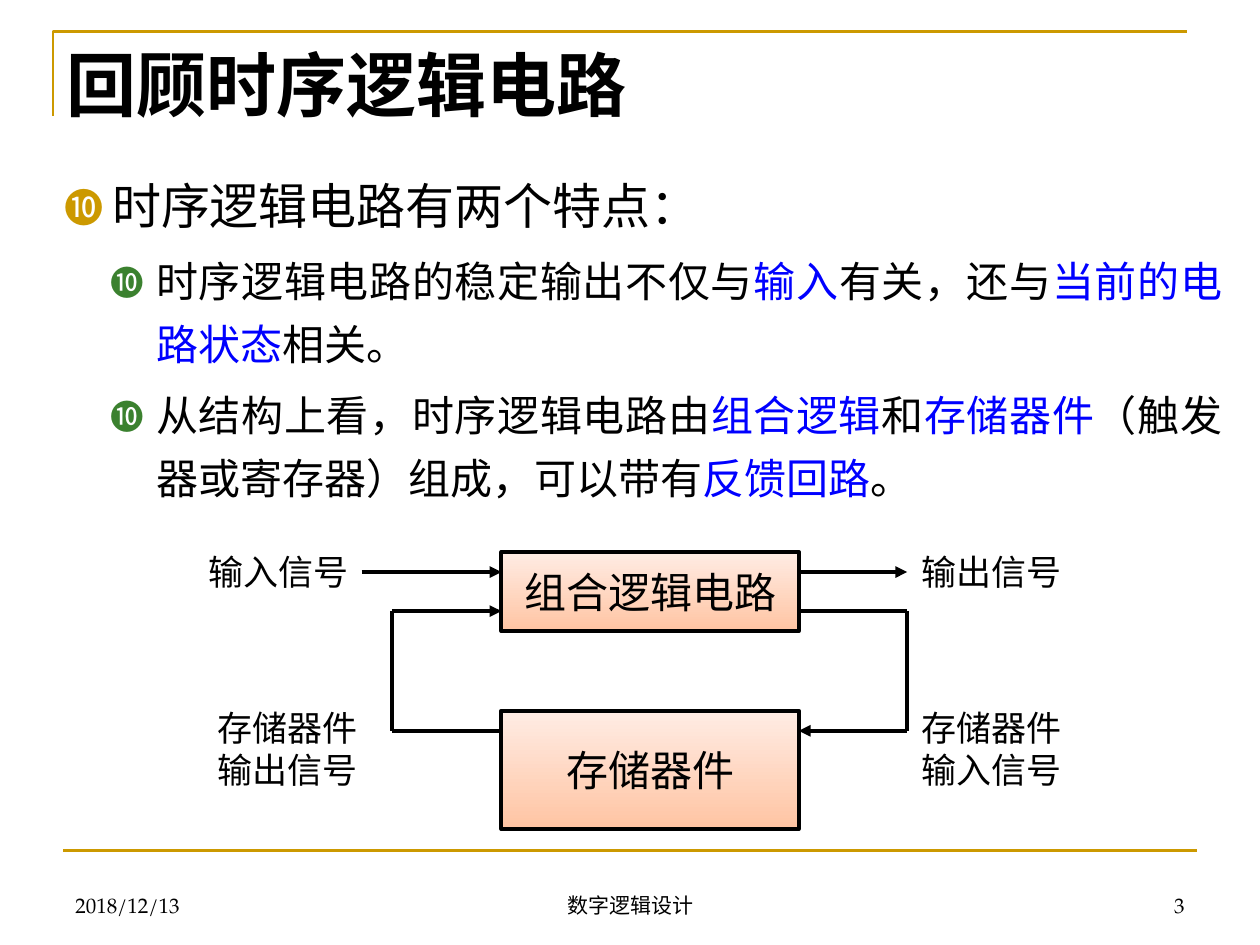
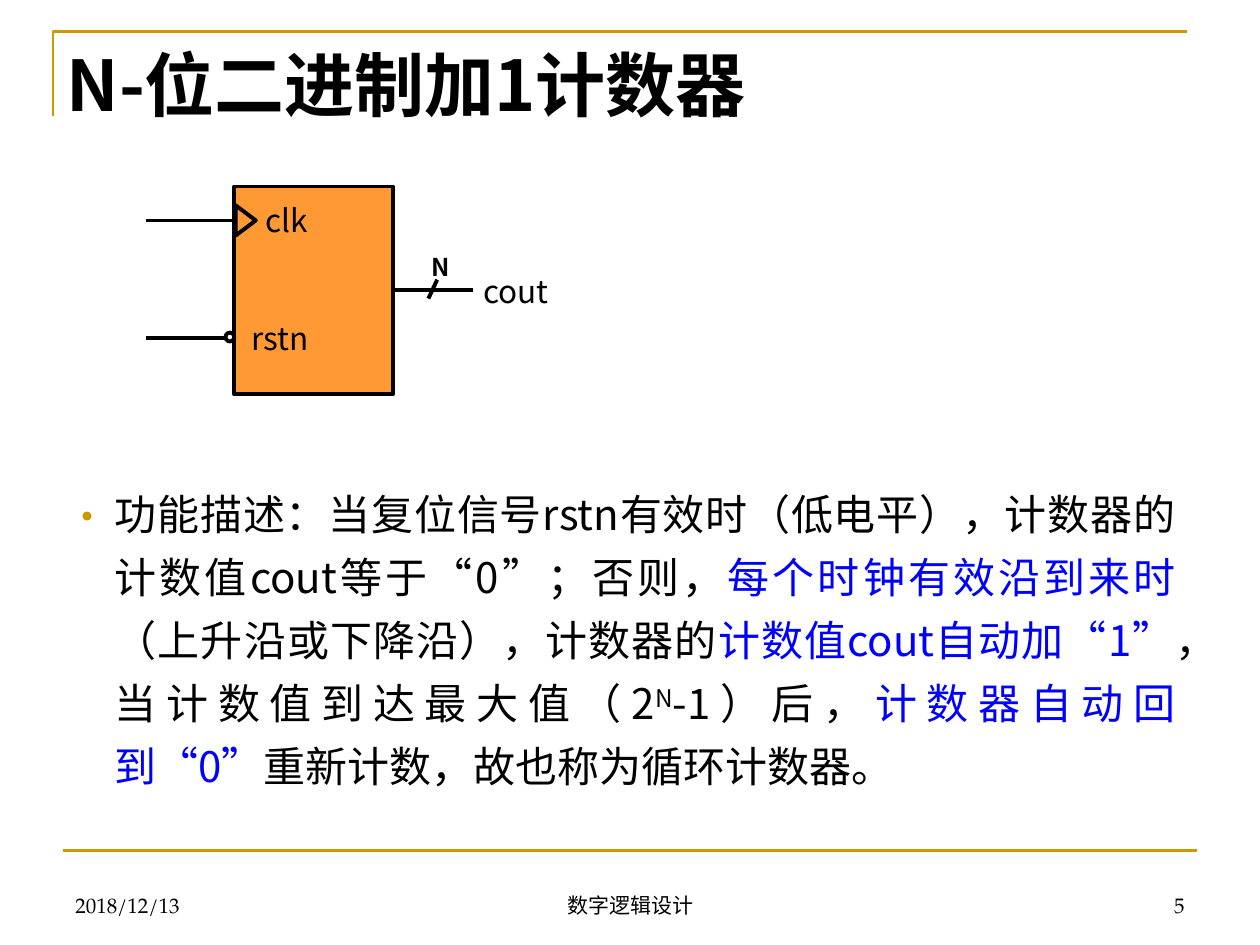
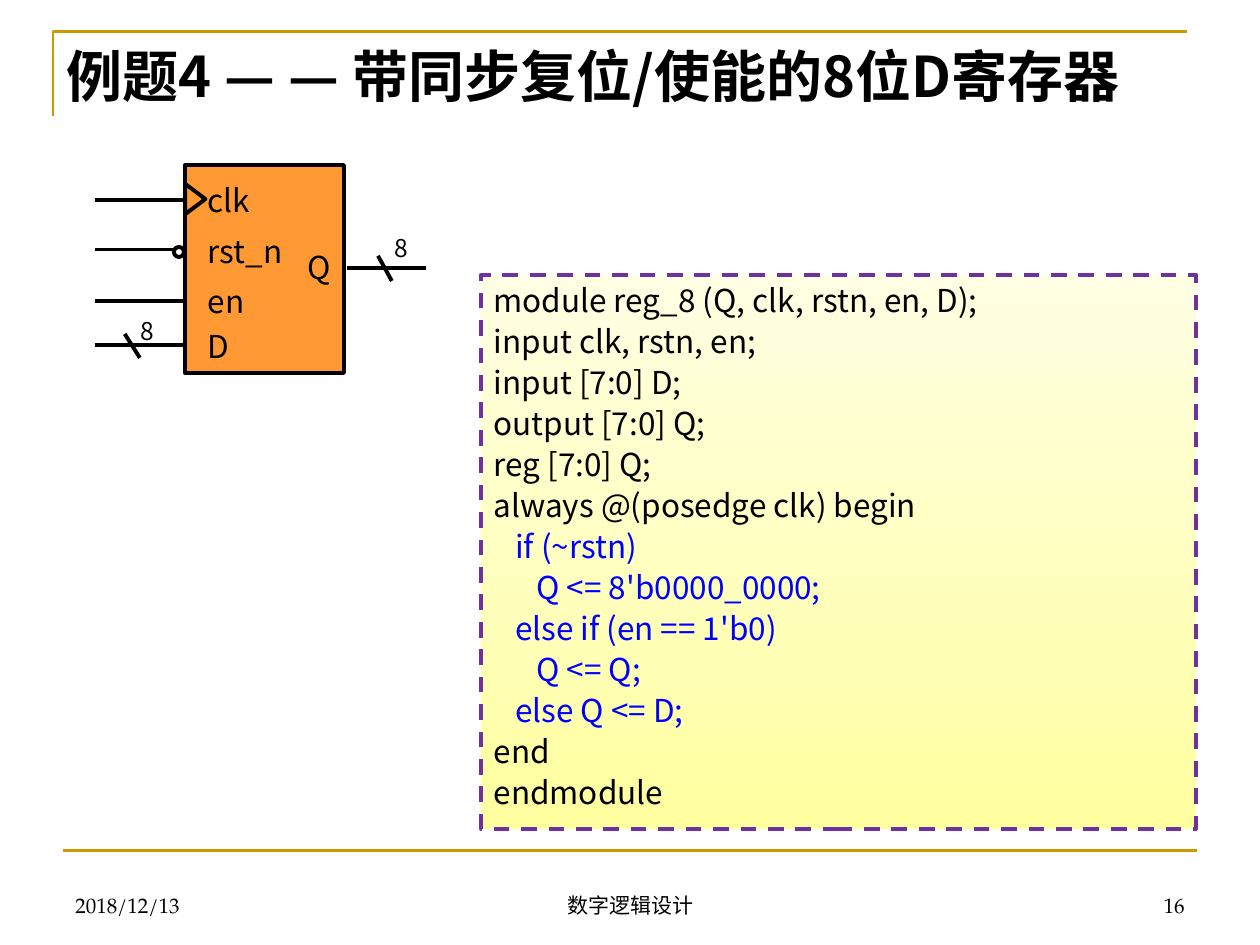
"""Build three slides on sequential logic: review, N-bit counter, 8-bit D register."""
from lxml import etree
from pptx import Presentation
from pptx.dml.color import RGBColor
from pptx.enum.dml import MSO_LINE
from pptx.enum.shapes import MSO_CONNECTOR, MSO_SHAPE
from pptx.enum.text import MSO_ANCHOR, MSO_AUTO_SIZE, PP_ALIGN
from pptx.oxml.ns import qn
from pptx.util import Inches, Pt

LEFT, CENTER, RIGHT, JUSTIFY = PP_ALIGN.LEFT, PP_ALIGN.CENTER, PP_ALIGN.RIGHT, PP_ALIGN.JUSTIFY
TOP, MIDDLE, BOTTOM = MSO_ANCHOR.TOP, MSO_ANCHOR.MIDDLE, MSO_ANCHOR.BOTTOM
RECT, TRIANGLE, OVAL = MSO_SHAPE.RECTANGLE, MSO_SHAPE.ISOSCELES_TRIANGLE, MSO_SHAPE.OVAL
STRAIGHT, DASH, NO_FIT = MSO_CONNECTOR.STRAIGHT, MSO_LINE.DASH, MSO_AUTO_SIZE.NONE

BLACK = RGBColor(0, 0, 0)
BLUE = RGBColor(0, 0, 255)
GOLD = RGBColor(0xCC, 0x99, 0x00)
GREEN = RGBColor(0x3B, 0x81, 0x2F)
ORANGE = RGBColor(0xFF, 0x99, 0x33)
PURPLE = RGBColor(0x70, 0x30, 0xA0)
PEACH = (RGBColor(0xFF, 0xC4, 0xA3), RGBColor(0xFF, 0xEC, 0xE4))
YELLOW = (RGBColor(0xFF, 0xFF, 0xA0), RGBColor(0xFF, 0xFF, 0xE3))
SANS, SERIF = "Noto Sans CJK SC", "TeX Gyre Pagella"


def write(p, text, size, color=BLACK, bold=False, font=SANS):
    r = p.add_run()
    r.text = text
    r.font.size = Pt(size)
    r.font.bold = bold
    r.font.color.rgb = color
    r.font.name = font
    etree.SubElement(r._r.get_or_add_rPr(), qn("a:ea"), typeface=SANS)
    return r


def add_line(s, x1, y1, x2, y2, end=None, color=BLACK, width=2.25):
    c = s.shapes.add_connector(STRAIGHT, Inches(x1), Inches(y1), Inches(x2), Inches(y2))
    c.line.color.rgb = color
    c.line.width = Pt(width)
    if end:
        etree.SubElement(c.line._get_or_add_ln(), qn(f"a:{end}"), type="triangle")
    etree.SubElement(c._element.spPr, qn("a:effectLst"))
    return c


prs = Presentation()
prs.slide_width, prs.slide_height = Inches(10), Inches(7.5)
with_body, title_only = prs.slide_layouts[1], prs.slide_layouts[5]
review, counter, register = [prs.slides.add_slide(x) for x in (with_body, with_body, title_only)]

fb = review.shapes.build_freeform(Inches(0.42), Inches(0.92))
fb.add_line_segments([(Inches(0.42), Inches(0.25)), (Inches(9.42), Inches(0.25))], close=False)
corner = fb.convert_to_shape()
corner.shadow.inherit = False
corner.fill.background()
corner.line.color.rgb = GOLD
corner.line.width = Pt(1.5)
rule = add_line(review, 0.5, 6.75, 9.5, 6.75, color=GOLD, width=1.5)
for sp in (corner, rule):
    prs.slide_master.shapes._spTree.append(sp._element)

for s, number, title, size, width, height in (
    (review, "3", "回顾时序逻辑电路", 40, 7.72, 0.77),
    (counter, "5", "N-位二进制加1计数器", 40, 8.58, 0.77),
    (register, "16", "例题4 — — 带同步复位/使能的8位D寄存器", 32, 9.14, 0.64),
):
    sp = s.shapes.title
    sp.left, sp.top, sp.width, sp.height = Inches(0.43), Inches(0.28), Inches(width), Inches(height)
    tf = sp.text_frame
    tf.auto_size = NO_FIT
    tf.vertical_anchor = TOP
    tf.paragraphs[0].alignment = LEFT
    write(tf.paragraphs[0], title, size, bold=True)
    for text, x, w, align in (
        ("2018/12/13", 0.5, 2.33, LEFT),
        ("数字逻辑设计", 3.42, 3.17, CENTER),
        (number, 7.17, 2.33, RIGHT),
    ):
        tf = s.shapes.add_textbox(Inches(x), Inches(6.83), Inches(w), Inches(0.5)).text_frame
        tf.word_wrap = True
        tf.vertical_anchor = BOTTOM
        tf.paragraphs[0].alignment = align
        write(tf.paragraphs[0], text, 12, font=SERIF)

review_list = (
    (0, 28, 5.6, "❿", [("时序逻辑电路有两个特点：", BLACK)]),
    (1, 24, 4.8, "❿", [
        ("时序逻辑电路的稳定输出不仅与", BLACK), ("输入", BLUE), ("有关，还与", BLACK),
        ("当前的电路状态", BLUE), ("相关。", BLACK)]),
    (1, 24, 4.8, "❿", [
        ("从结构上看，时序逻辑电路由", BLACK), ("组合逻辑", BLUE), ("和", BLACK),
        ("存储器件", BLUE), ("（触发器或寄存器）组成，可以带有", BLACK),
        ("反馈回路", BLUE), ("。", BLACK)]),
)
counter_list = (
    (0, 24, 18, "•", [
        ("功能描述：当复位信号rstn有效时（低电平），计数器的计数值cout等于“0”；否则，", BLACK),
        ("每个时钟有效沿到来时", BLUE), ("（上升沿或下降沿），计数器的", BLACK),
        ("计数值cout自动加“1”", BLUE), ("，当计数值到达最大值（2", BLACK),
        ("N", BLACK), ("-1）后，", BLACK), ("计数器自动回到“0”", BLUE),
        ("重新计数，故也称为循环计数器。", BLACK)]),
)
for s, items, x, y, w, h in (
    (review, review_list, 0.41, 1.31, 9.39, 3.7),
    (counter, counter_list, 0.43, 3.73, 9, 1.81),
):
    sp = s.placeholders[1]
    sp.left, sp.top, sp.width, sp.height = Inches(x), Inches(y), Inches(w), Inches(h)
    tf = sp.text_frame
    tf.auto_size = NO_FIT
    for i, (level, size, before, bullet, runs) in enumerate(items):
        p = tf.add_paragraph() if i else tf.paragraphs[0]
        p.level = level
        p.alignment = JUSTIFY
        p.line_spacing = Pt(36)
        p.space_before = Pt(before)
        pPr = p._p.get_or_add_pPr()
        margin, hang = ((0.38, 0.38), (0.73, 0.36))[level]
        pPr.set("marL", str(Inches(margin)))
        pPr.set("indent", str(-Inches(hang)))
        color = etree.SubElement(pPr, qn("a:buClr"))
        etree.SubElement(color, qn("a:srgbClr"), val=str((GOLD, GREEN)[level]))
        etree.SubElement(pPr, qn("a:buSzPct"), val="80000" if bullet == "❿" else "100000")
        etree.SubElement(pPr, qn("a:buFont"), typeface=SANS)
        etree.SubElement(pPr, qn("a:buChar"), char=bullet)
        for text, color in runs:
            r = write(p, text, size, color)
            if text == "N":
                r._r.get_or_add_rPr().set("baseline", "30000")

code = (
    (0, "module reg_8 (Q, clk, rstn, en, D);", BLACK),
    (0, "input clk, rstn, en;", BLACK),
    (0, "input [7:0] D;", BLACK),
    (0, "output [7:0] Q;", BLACK),
    (0, "reg [7:0] Q;", BLACK),
    (0, "always @(posedge clk) begin", BLACK),
    (1, "if (~rstn)", BLUE),
    (2, "Q <= 8'b0000_0000;", BLUE),
    (1, "else if (en == 1'b0)", BLUE),
    (2, "Q <= Q;", BLUE),
    (1, "else Q <= D;", BLUE),
    (0, "end", BLACK),
    (0, "endmodule", BLACK),
)
combinational = ((0, "组合逻辑电路", BLACK),)
storage = ((0, "存储器件", BLACK),)
for s, kind, x, y, w, h, fill, lines in (
    (review, RECT, 3.98, 4.38, 2.36, 0.63, PEACH, combinational),
    (review, RECT, 3.98, 5.64, 2.36, 0.94, PEACH, storage),
    (counter, RECT, 1.86, 1.48, 1.26, 1.65, ORANGE, ()),
    (counter, TRIANGLE, 1.83, 1.67, 0.24, 0.16, None, ()),
    (counter, OVAL, 1.79, 2.64, 0.07, 0.07, None, ()),
    (register, RECT, 1.47, 1.31, 1.26, 1.65, ORANGE, ()),
    (register, TRIANGLE, 1.43, 1.5, 0.24, 0.16, None, ()),
    (register, OVAL, 1.38, 1.96, 0.08, 0.08, None, ()),
    (register, RECT, 3.82, 2.18, 5.67, 4.4, YELLOW, code),
):
    sp = s.shapes.add_shape(kind, Inches(x), Inches(y), Inches(w), Inches(h))
    sp.shadow.inherit = False
    sp.rotation = 90 if kind == TRIANGLE else 0
    sp.line.color.rgb = BLACK
    sp.line.width = Pt(2.25)
    if fill is None:
        sp.fill.background()
    elif fill == ORANGE:
        sp.fill.solid()
        sp.fill.fore_color.rgb = fill
    else:
        sp.fill.gradient()
        sp.fill.gradient_angle = 90
        for stop, color in zip(sp.fill.gradient_stops, fill):
            stop.color.rgb = color
    is_code = lines is code
    if is_code:
        sp.line.color.rgb = PURPLE
        sp.line.dash_style = DASH
    tf = sp.text_frame
    tf.vertical_anchor = TOP if is_code else MIDDLE
    for i, (level, text, color) in enumerate(lines):
        p = tf.add_paragraph() if i else tf.paragraphs[0]
        p.alignment = LEFT if is_code else CENTER
        p.space_before = Pt(1.8 if is_code else 0)
        p._p.get_or_add_pPr().set("marL", str(Inches(0.17 * level)))
        write(p, text, 18 if is_code else 24, color)

for s, x1, y1, x2, y2, end in (
    (review, 2.87, 4.54, 3.98, 4.54, "tailEnd"),
    (review, 6.34, 4.54, 7.2, 4.54, "tailEnd"),
    (review, 6.34, 4.85, 7.2, 4.85, None),
    (review, 7.2, 4.85, 7.2, 5.8, None),
    (review, 6.34, 5.8, 7.2, 5.8, "headEnd"),
    (review, 3.11, 5.8, 3.98, 5.8, None),
    (review, 3.11, 4.85, 3.11, 5.8, None),
    (review, 3.11, 4.85, 3.98, 4.85, "tailEnd"),
    (counter, 1.16, 1.75, 1.85, 1.75, None),
    (counter, 1.16, 2.68, 1.79, 2.68, None),
    (counter, 3.12, 2.3, 3.75, 2.3, None),
    (counter, 3.4, 2.37, 3.47, 2.22, None),
    (register, 0.75, 1.59, 1.47, 1.59, None),
    (register, 0.75, 1.98, 1.38, 1.98, None),
    (register, 0.75, 2.39, 1.47, 2.39, None),
    (register, 0.75, 2.74, 1.47, 2.74, None),
    (register, 0.99, 2.65, 1.11, 2.84, None),
    (register, 2.75, 2.13, 3.38, 2.13, None),
    (register, 3, 2.03, 3.11, 2.23, None),
):
    add_line(s, x1, y1, x2, y2, end)

for s, text, x, y, w, h, size, align in (
    (review, "输入信号", 1.54, 4.32, 1.34, 0.44, 20, CENTER),
    (review, "输出信号", 7.2, 4.32, 1.34, 0.44, 20, CENTER),
    (review, "存储器件输入信号", 7.2, 5.56, 1.34, 0.77, 20, CENTER),
    (review, "存储器件输出信号", 1.61, 5.56, 1.34, 0.77, 20, CENTER),
    (counter, "clk", 2.01, 1.55, 0.55, 0.4, 18, LEFT),
    (counter, "rstn", 1.87, 2.48, 0.71, 0.4, 18, CENTER),
    (counter, "N", 3.33, 1.95, 0.28, 0.34, 14, CENTER),
    (counter, "cout", 3.7, 2.11, 0.79, 0.4, 18, CENTER),
    (register, "clk", 1.55, 1.39, 0.55, 0.4, 18, LEFT),
    (register, "rst_n", 1.55, 1.79, 0.87, 0.4, 18, LEFT),
    (register, "en", 1.55, 2.19, 0.87, 0.4, 18, LEFT),
    (register, "D", 1.55, 2.55, 0.38, 0.4, 18, LEFT),
    (register, "Q", 2.34, 1.92, 0.38, 0.4, 18, LEFT),
    (register, "8", 1.02, 2.46, 0.31, 0.34, 14, LEFT),
    (register, "8", 3.03, 1.8, 0.31, 0.34, 14, LEFT),
):
    tf = s.shapes.add_textbox(Inches(x), Inches(y), Inches(w), Inches(h)).text_frame
    tf.word_wrap = True
    tf.paragraphs[0].alignment = align
    write(tf.paragraphs[0], text, size, bold=text == "N")

prs.save("out.pptx")
